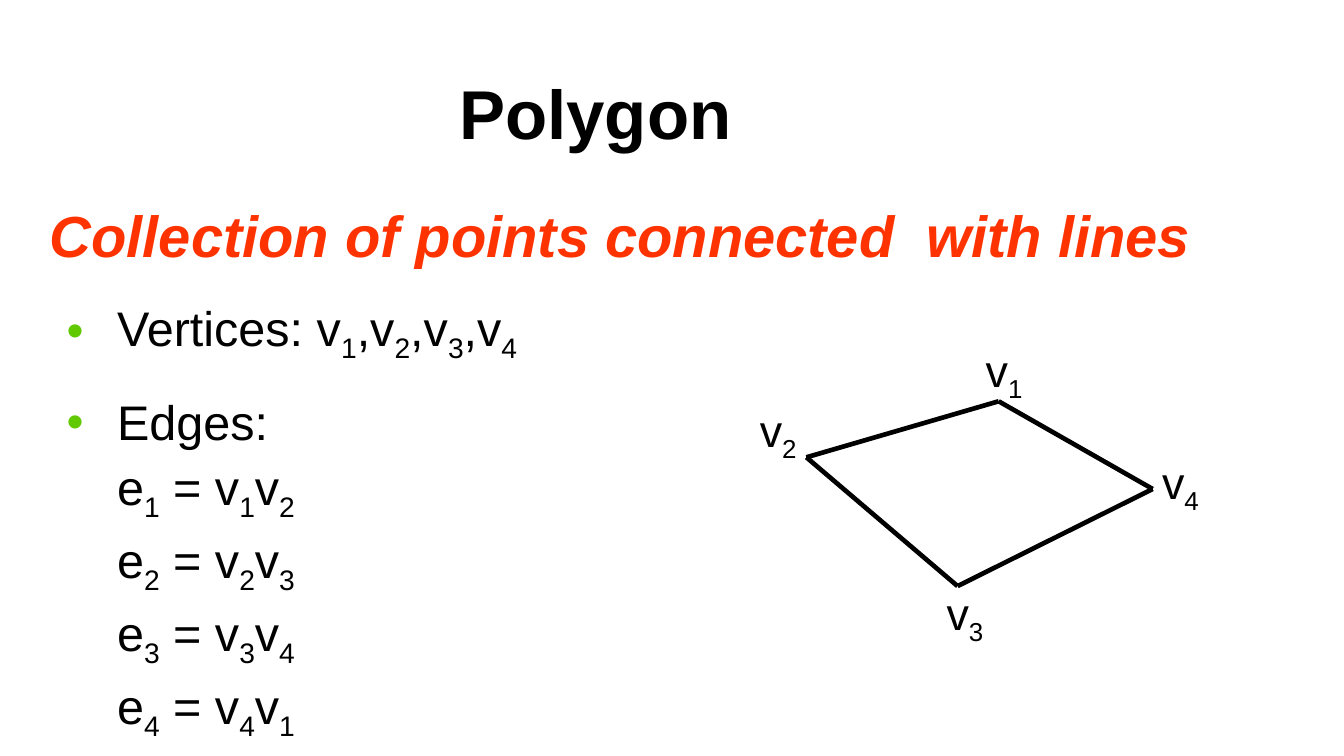
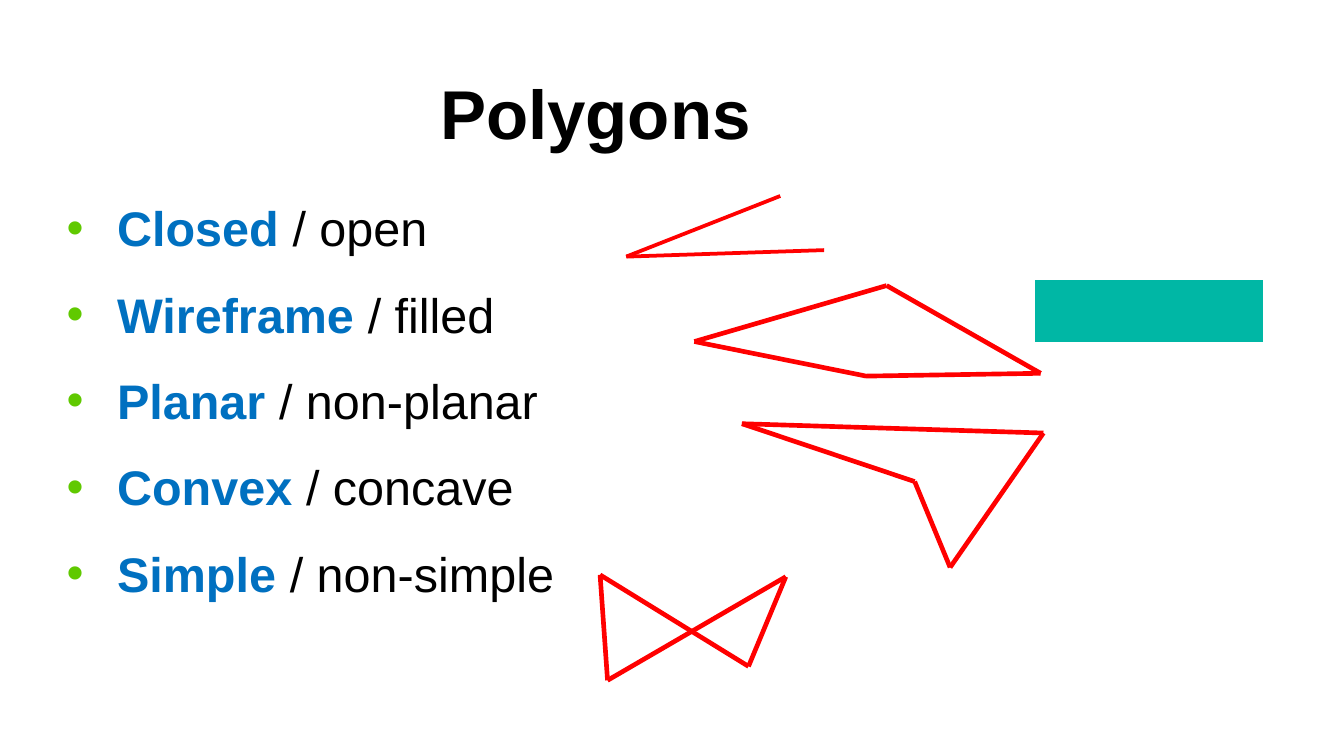
from dataclasses import dataclass
from itertools import pairwise

from lxml import etree
from pptx import Presentation
from pptx import util as u
from pptx.dml.color import RGBColor
from pptx.enum import shapes, text
from pptx.oxml import ns

Point = tuple[float, float]


@dataclass(frozen=True)
class Theme:
    """Colours, font and sizes shared by the slides."""
    font: str = "Arial"
    ink: str = "000000"
    paper: str = "FFFFFF"
    headline: str = "FF3300"
    term: str = "0070C0"
    bullet: str = "60C900"
    wire: str = "FF0000"
    filled: str = "00B7A5"
    title_size: float = 37
    headline_size: float = 31
    body_size: float = 26
    label_size: float = 24
    title_spacing: float = 1.04
    body_spacing: float = 1.1
    bullet_gap: float = 12


THEME = Theme()


@dataclass(frozen=True)
class Box:
    left: float
    top: float
    width: float
    height: float

    def lengths(self) -> list[u.Pt]:
        return [u.Pt(value) for value in (self.left, self.top, self.width, self.height)]


@dataclass(frozen=True)
class Outline:
    """Corners joined in order by straight lines."""
    corners: list[Point]
    color: str = THEME.wire
    width: float = 2.5
    closed: bool = True


@dataclass(frozen=True)
class VertexLabel:
    markup: str
    left: float
    top: float


TITLE_BOX = Box(20, 18, 598, 68)
BODY_BOX = Box(19.5, 99.5, 679, 288)

# Content: "_" makes the next character a subscript
VERTICES = "Vertices: v_1,v_2,v_3,v_4"
EDGES = "\n".join(["Edges: "] + [f"e_{i} = v_{i}v_{i % 4 + 1}" for i in range(1, 5)])
QUADRILATERAL = Outline([(535, 215), (432, 245), (513, 314), (617.5, 262)], THEME.ink)
LABELS = [
    VertexLabel("v_1", 521, 180),
    VertexLabel("v_2", 400, 212),
    VertexLabel("v_3", 500, 310),
    VertexLabel("v_4", 615.5, 240),
]
KINDS = [
    ("Closed", "open"),
    ("Wireframe", "filled"),
    ("Planar", "non-planar"),
    ("Convex", "concave"),
    ("Simple", "non-simple"),
]
WIREFRAME = Outline([(372, 183), (475, 153), (557.5, 200), (464, 201.5)])
CONCAVE = Outline([(397.5, 227), (559, 232), (509, 304), (490, 258)])
BOW_TIE = Outline([(321.5, 308), (325.5, 364.5), (421, 309), (401, 357)])
OPEN_PATH = Outline([(418, 105), (335.5, 137.5), (441.5, 134)], width=2, closed=False)
FILLED_BOX = Box(553.5, 149, 124, 35)


# Text helpers
def style_font(font, size: float, color: str, bold: bool = False, italic: bool = False) -> None:
    font.name = THEME.font
    font.size = u.Pt(size)
    font.bold = bold
    font.italic = italic
    font.color.rgb = RGBColor.from_string(color)


def write_markup(paragraph, markup: str) -> None:
    """Write text with subscripts and line breaks."""
    for number, line in enumerate(markup.split("\n")):
        if number:
            paragraph.add_line_break()
        plain, *rest = line.split("_")
        pieces = [(plain, False)]
        for part in rest:
            pieces += [(part[0], True), (part[1:], False)]
        for words, lowered in pieces:
            if words:
                run = paragraph.add_run()
                run.text = words
                if lowered:
                    run._r.get_or_add_rPr().set("baseline", "-25000")


def set_bullet(paragraph) -> None:
    properties = paragraph._p.get_or_add_pPr()
    properties.set("marL", str(u.Pt(36)))
    properties.set("indent", str(u.Pt(-27)))
    color = etree.SubElement(properties, ns.qn("a:buClr"))
    etree.SubElement(color, ns.qn("a:srgbClr")).set("val", THEME.bullet)
    etree.SubElement(properties, ns.qn("a:buFont")).set("typeface", THEME.font)
    etree.SubElement(properties, ns.qn("a:buChar")).set("char", "•")


def set_plain(paragraph) -> None:
    properties = paragraph._p.get_or_add_pPr()
    properties.set("marL", "0")
    properties.set("indent", "0")
    etree.SubElement(properties, ns.qn("a:buNone"))


def format_bullet(paragraph, first: bool = False) -> None:
    paragraph.level = 1
    set_bullet(paragraph)
    paragraph.line_spacing = THEME.body_spacing
    paragraph.space_before = u.Pt(0 if first else THEME.bullet_gap)
    style_font(paragraph.font, THEME.body_size, THEME.ink)


# Slide parts
def place(shape, box: Box) -> None:
    shape.left, shape.top, shape.width, shape.height = box.lengths()
    shape.text_frame.auto_size = text.MSO_AUTO_SIZE.NONE


def add_titled_slide(presentation, title: str):
    """Add a slide with its title; return it with the body text frame."""
    slide = presentation.slides.add_slide(presentation.slide_layouts[1])
    heading, body = slide.shapes.title, slide.placeholders[1]
    place(heading, TITLE_BOX)
    place(body, BODY_BOX)
    heading.text_frame.vertical_anchor = text.MSO_ANCHOR.BOTTOM
    heading.text_frame.text = title
    paragraph = heading.text_frame.paragraphs[0]
    paragraph.alignment = text.PP_ALIGN.CENTER
    paragraph.line_spacing = THEME.title_spacing
    style_font(paragraph.font, THEME.title_size, THEME.ink, bold=True)
    return slide, body.text_frame


def draw_outline(slide, outline: Outline) -> None:
    corners = outline.corners + outline.corners[:1] if outline.closed else outline.corners
    for start, end in pairwise(corners):
        line = slide.shapes.add_connector(
            shapes.MSO_CONNECTOR.STRAIGHT, *[u.Pt(value) for value in start + end])
        line.line.color.rgb = RGBColor.from_string(outline.color)
        line.line.width = u.Pt(outline.width)
        etree.SubElement(line._element.spPr, ns.qn("a:effectLst"))


def draw_label(slide, label: VertexLabel) -> None:
    frame = slide.shapes.add_textbox(*Box(label.left, label.top, 41, 27).lengths()).text_frame
    frame.word_wrap = True
    paragraph = frame.paragraphs[0]
    write_markup(paragraph, label.markup)
    style_font(paragraph.font, THEME.label_size, THEME.ink)


def draw_filled(slide, box: Box) -> None:
    shape = slide.shapes.add_shape(shapes.MSO_SHAPE.RECTANGLE, *box.lengths())
    shape.shadow.inherit = False
    shape.fill.solid()
    shape.fill.fore_color.rgb = RGBColor.from_string(THEME.filled)
    shape.line.color.rgb = RGBColor.from_string(THEME.paper)
    shape.line.width = u.Pt(2)


# Slides
def build_polygon(presentation) -> None:
    slide, body = add_titled_slide(presentation, "Polygon")
    headline = body.paragraphs[0]
    headline.text = "Collection of points connected  with lines"
    set_plain(headline)
    headline.line_spacing = THEME.body_spacing
    headline.space_before = u.Pt(0)
    style_font(headline.font, THEME.headline_size, THEME.headline, bold=True, italic=True)
    for markup in (VERTICES, EDGES):
        paragraph = body.add_paragraph()
        write_markup(paragraph, markup)
        format_bullet(paragraph)
    draw_outline(slide, QUADRILATERAL)
    for label in LABELS:
        draw_label(slide, label)


def build_polygons(presentation) -> None:
    slide, body = add_titled_slide(presentation, "Polygons")
    for number, (term, opposite) in enumerate(KINDS):
        paragraph = body.add_paragraph() if number else body.paragraphs[0]
        format_bullet(paragraph, first=number == 0)
        run = paragraph.add_run()
        run.text = term
        run.font.bold = True
        run.font.color.rgb = RGBColor.from_string(THEME.term)
        paragraph.add_run().text = f" / {opposite}"
    for outline in (WIREFRAME, CONCAVE, BOW_TIE):
        draw_outline(slide, outline)
    draw_filled(slide, FILLED_BOX)
    draw_outline(slide, OPEN_PATH)


def main() -> None:
    presentation = Presentation()
    presentation.slide_width, presentation.slide_height = u.Pt(720), u.Pt(405)
    build_polygon(presentation)
    build_polygons(presentation)
    presentation.save("out.pptx")


if __name__ == "__main__":
    main()
